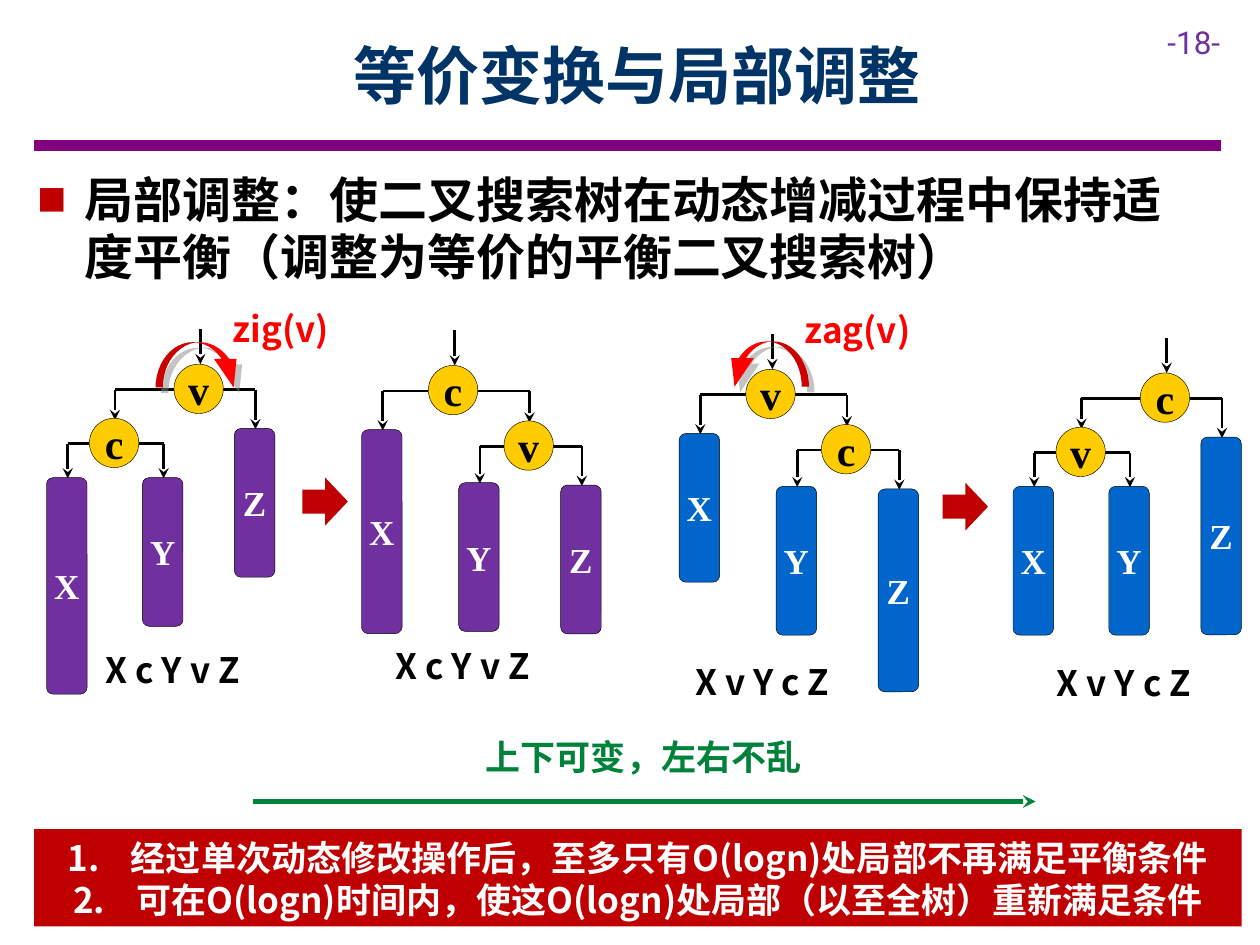
import pptx
import pptx.util
from dataclasses import dataclass
from lxml import etree
from pptx.dml.color import RGBColor
from pptx.enum.shapes import MSO_CONNECTOR, MSO_SHAPE
from pptx.enum.text import MSO_ANCHOR, PP_ALIGN
from pptx.oxml.ns import qn

Pt = pptx.util.Pt


@dataclass(frozen=True)
class Theme:
    sans: str = "Noto Sans CJK SC"
    serif: str = "Times New Roman"
    number: str = "Roboto"
    navy: str = "003366"
    rule: str = "800080"
    purple: str = "7030A0"
    blue: str = "0066CC"
    gold: str = "FFCC00"
    red: str = "C00000"
    bright: str = "FF0000"
    green: str = "00823B"
    black: str = "000000"
    white: str = "FFFFFF"
    title: int = 36
    body: int = 28
    node: int = 24
    small: int = 20
    page: int = 18


T = Theme()
prs = pptx.Presentation()
prs.slide_width, prs.slide_height = Pt(720), Pt(540)
s = prs.slides.add_slide(prs.slide_layouts[6])


def write(sp, text, size, color, font=T.sans, align=PP_ALIGN.LEFT, bold=True, spacing=None):
    tf = sp.text_frame
    tf.word_wrap = True
    tf.text = text
    for p in tf.paragraphs:
        p.alignment = align
        if spacing:
            p.line_spacing = Pt(spacing)
        for r in p.runs:
            r.font.name, r.font.size, r.font.bold = font, Pt(size), bold
            r.font.color.rgb = RGBColor.from_string(color)
            etree.SubElement(r._r.get_or_add_rPr(), qn("a:ea"), typeface=font)
    return tf


def line(x1, y1, x2, y2, width=1.5, color=T.black, arrow=False):
    cx = s.shapes.add_connector(MSO_CONNECTOR.STRAIGHT, Pt(x1), Pt(y1), Pt(x2), Pt(y2))
    cx.line.width = Pt(width)
    cx.line.color.rgb = RGBColor.from_string(color)
    if arrow:
        etree.SubElement(cx.line._get_or_add_ln(), qn("a:tailEnd"), type="stealth")
    etree.SubElement(cx._element.spPr, qn("a:effectLst"))


# Header
line(19.5, 83, 697.5, 83, 6, T.rule)
tb = s.shapes.add_textbox(Pt(660), Pt(9.4), Pt(60), Pt(29))
write(tb, "-18-", T.page, T.purple, T.number, bold=False)
tb = s.shapes.add_textbox(Pt(65), Pt(6.5), Pt(598), Pt(72))
tf = write(tb, "等价变换与局部调整", T.title, T.navy, align=PP_ALIGN.CENTER)
tf.vertical_anchor = MSO_ANCHOR.MIDDLE

# Main point with a square bullet
tb = s.shapes.add_textbox(Pt(14.4), Pt(94.3), Pt(663), Pt(75))
tf = write(tb, "局部调整：使二叉搜索树在动态增减过程中保持适度平衡（调整为等价的平衡二叉搜索树）",
           T.body, T.black, spacing=32.7)
tf.paragraphs[0].space_after = Pt(6)
pPr = tf.paragraphs[0]._p.get_or_add_pPr()
pPr.set("marL", str(Pt(27)))
pPr.set("indent", str(Pt(-27)))
clr = etree.SubElement(pPr, qn("a:buClr"))
etree.SubElement(clr, qn("a:srgbClr"), val=T.red)
etree.SubElement(pPr, qn("a:buSzPct"), val="60000")
etree.SubElement(pPr, qn("a:buFont"), typeface=T.sans)
etree.SubElement(pPr, qn("a:buChar"), char="■")

# Trees: the first node is the root; nodes are (x, y), subtrees (x, y, height)
NODE, BAR = 28.2, 23.2
trees = [
    (T.purple, {"v": (99.4, 208.1), "c": (51.1, 239)},
     {"X": (26.6, 272.9, 123.8), "Y": (81.4, 272.9, 85), "Z": (133.9, 244.8, 85)},
     "X c Y v Z", (53.3, 367.2)),
    (T.purple, {"c": (244.8, 208.8), "v": (288, 240.5)},
     {"X": (206.6, 245.5, 116.6), "Y": (262.1, 275.8, 85), "Z": (320.4, 277.2, 85)},
     "X c Y v Z", (218.9, 365)),
    (T.blue, {"v": (426.2, 211), "c": (469.4, 242.6)},
     {"X": (388.1, 247.7, 85), "Y": (443.5, 277.9, 85), "Z": (501.8, 279.4, 115.9)},
     "X v Y c Z", (390.2, 373.7)),
    (T.blue, {"c": (651.6, 213.1), "v": (603.4, 244.1)},
     {"X": (578.9, 277.9, 85), "Y": (633.6, 277.9, 85), "Z": (686.2, 249.8, 113)},
     "X v Y c Z", (596.9, 374.4)),
]
for color, nodes, bars, order, (cap_x, cap_y) in trees:
    root, child = nodes
    left_heavy = nodes[child][0] < nodes[root][0]
    edges = {root: (child, "Z"), child: ("X", "Y")} if left_heavy else \
            {root: ("X", child), child: ("Y", "Z")}

    # Incoming arrow and elbow edges
    x, y = nodes[root]
    line(x + NODE / 2 + 1, y - 20, x + NODE / 2 + 1, y, arrow=True)
    for parent, targets in edges.items():
        x, y = nodes[parent]
        mid = y + NODE / 2 + 0.5
        for target, side in zip(targets, (x, x + NODE)):
            if target in nodes:
                end, top = nodes[target][0] + NODE / 2 + 0.5, nodes[target][1] + 1
            else:
                end, top = bars[target][0] + BAR / 2 + 0.5, bars[target][1] + 0.5
            line(side, mid, end, mid)
            line(end, mid, end, top, arrow=True)

    # Nodes and subtrees
    items = [(n, x, y, NODE, NODE, T.gold, T.node, T.black) for n, (x, y) in nodes.items()]
    items += [(n, x, y, BAR, h, color, T.small, T.white) for n, (x, y, h) in bars.items()]
    for name, x, y, w, h, fill, size, ink in items:
        sp = s.shapes.add_shape(MSO_SHAPE.ROUNDED_RECTANGLE, Pt(x), Pt(y), Pt(w), Pt(h))
        sp.shadow.inherit = False
        if name in nodes:
            sp.adjustments[0] = 0.5
        sp.fill.solid()
        sp.fill.fore_color.rgb = RGBColor.from_string(fill)
        sp.line.color.rgb = RGBColor.from_string(T.black)
        sp.line.width = Pt(0.25)
        tf = write(sp, name, size, ink, T.serif, PP_ALIGN.CENTER)
        tf.margin_left = tf.margin_right = tf.margin_top = tf.margin_bottom = 0
        tf.vertical_anchor = MSO_ANCHOR.MIDDLE

    # Inorder sequence
    tb = s.shapes.add_textbox(Pt(cap_x), Pt(cap_y), Pt(102), Pt(31.7))
    write(tb, order, T.small, T.black, spacing=24)

# Arrows between trees
for x, y in [(172.8, 272.9), (538.6, 275.8)]:
    sp = s.shapes.add_shape(MSO_SHAPE.RIGHT_ARROW, Pt(x), Pt(y), Pt(26), Pt(27.4))
    sp.shadow.inherit = False
    sp.fill.solid()
    sp.fill.fore_color.rgb = RGBColor.from_string(T.red)
    sp.line.fill.background()

# Rotation arrows and their labels
rotations = [("zig(v)", 101.5, 182.9, 51.1, False, 126, 172.1),
             ("zag(v)", 424.8, 183.6, 49, True, 452.9, 172.8)]
for label, x, y, h, flip, label_x, label_y in rotations:
    sp = s.shapes.add_shape(MSO_SHAPE.CURVED_LEFT_ARROW, Pt(x), Pt(y), Pt(25.9), Pt(h))
    for i, value in enumerate((0.16, 0.5, 0.633)):
        sp.adjustments[i] = value
    sp.rotation = 270
    if flip:
        sp._element.spPr.find(qn("a:xfrm")).set("flipV", "1")
    sp.fill.solid()
    sp.fill.fore_color.rgb = RGBColor.from_string(T.bright)
    sp.line.fill.background()
    sp.shadow.inherit = False
    shadow = etree.SubElement(sp._element.spPr.find(qn("a:effectLst")), qn("a:outerShdw"),
                              dist=str(Pt(4.5)), dir="2700000", rotWithShape="0")
    clr = etree.SubElement(shadow, qn("a:srgbClr"), val="888888")
    etree.SubElement(clr, qn("a:alpha"), val="50000")
    tb = s.shapes.add_textbox(Pt(label_x), Pt(label_y), Pt(77), Pt(31.7))
    write(tb, label, T.small, T.bright, spacing=24)

# Invariant: left-to-right order
line(144.7, 458, 591.8, 458, 2.5, T.green, arrow=True)
tb = s.shapes.add_textbox(Pt(256.3), Pt(416.9), Pt(223), Pt(31.7))
write(tb, "上下可变，左右不乱", T.small, T.green, align=PP_ALIGN.CENTER, spacing=24)

# Conclusions
sp = s.shapes.add_shape(MSO_SHAPE.RECTANGLE, Pt(19.5), Pt(473.8), Pt(690), Pt(55.6))
sp.shadow.inherit = False
sp.fill.solid()
sp.fill.fore_color.rgb = RGBColor.from_string(T.red)
sp.line.fill.background()
tf = write(sp, "经过单次动态修改操作后，至多只有O(logn)处局部不再满足平衡条件\n"
               "可在O(logn)时间内，使这O(logn)处局部（以至全树）重新满足条件",
           T.small, T.white, align=PP_ALIGN.CENTER, spacing=24.4)
tf.vertical_anchor = MSO_ANCHOR.TOP
for p in tf.paragraphs:
    pPr = p._p.get_or_add_pPr()
    pPr.set("marL", str(Pt(36)))
    pPr.set("indent", str(Pt(-36)))
    etree.SubElement(pPr, qn("a:buFont"), typeface=T.sans)
    etree.SubElement(pPr, qn("a:buAutoNum"), type="arabicPeriod")

prs.save("out.pptx")
